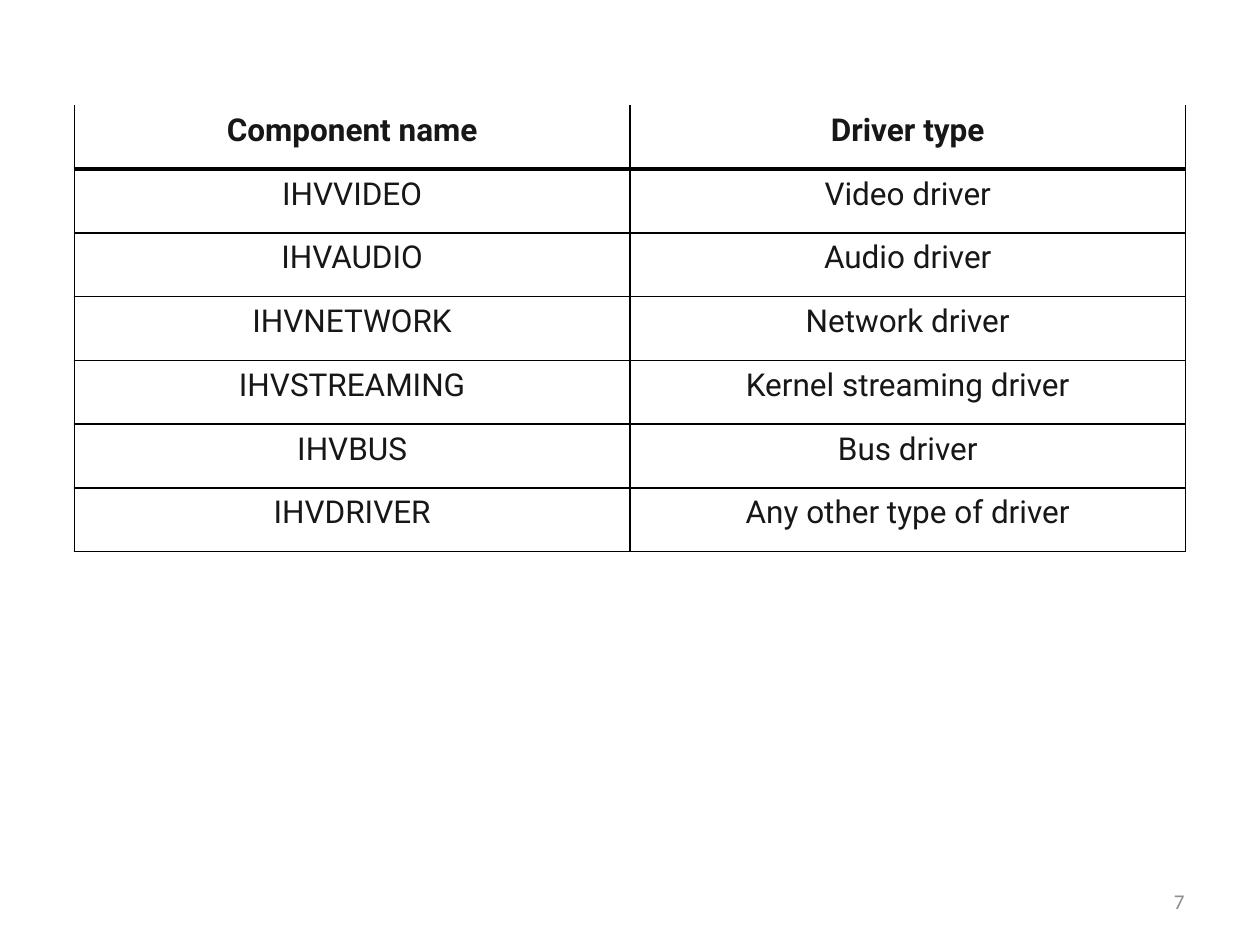
from lxml import etree
from pptx import Presentation
from pptx.dml.color import RGBColor
from pptx.enum import text
from pptx.oxml import ns
from pptx.util import Pt

HEADER = ("Component name", "Driver type")
DRIVERS = [
    ("IHVVIDEO", "Video driver"),
    ("IHVAUDIO", "Audio driver"),
    ("IHVNETWORK", "Network driver"),
    ("IHVSTREAMING", "Kernel streaming driver"),
    ("IHVBUS", "Bus driver"),
    ("IHVDRIVER", "Any other type of driver"),
]
PAGE_NUMBER = "7"

COLORS = {"paper": "FFFFFF", "ink": "171717", "rule": "000000", "muted": "8C8C8C"}
TABLE_LEFT, TABLE_TOP = 42.5, 60.2
COLUMN_WIDTH, ROW_HEIGHT = 317.5, 36.43
CELL_MARGIN = 0.75
THIN, THICK = 1, 3


def color(name):
    return RGBColor.from_string(COLORS[name])


def add_run(paragraph, words, font_name, size, color_name, bold=False):
    run = paragraph.add_run()
    run.text = words
    run.font.name = font_name
    run.font.size = Pt(size)
    run.font.bold = bold
    run.font.color.rgb = color(color_name)


def set_borders(cell, top, bottom):
    """Draw thin sides; top and bottom are widths in points, 0 for no line."""
    properties = cell._tc.get_or_add_tcPr()
    for tag, width in (("lnL", THIN), ("lnR", THIN), ("lnT", top), ("lnB", bottom)):
        line = etree.SubElement(properties, ns.qn(f"a:{tag}"), w=str(int(Pt(width))))
        if width:
            fill = etree.SubElement(line, ns.qn("a:solidFill"))
            etree.SubElement(fill, ns.qn("a:srgbClr"), val=COLORS["rule"])
        else:
            etree.SubElement(line, ns.qn("a:noFill"))


def fill_cell(cell, words, is_header, top, bottom):
    set_borders(cell, top, bottom)
    cell.fill.solid()
    cell.fill.fore_color.rgb = color("paper")
    cell.margin_left = cell.margin_right = Pt(CELL_MARGIN)
    cell.margin_top = cell.margin_bottom = Pt(CELL_MARGIN)
    paragraph = cell.text_frame.paragraphs[0]
    paragraph.alignment = text.PP_ALIGN.CENTER
    paragraph.line_spacing = 1.15
    add_run(paragraph, words, "Roboto", 18, "ink", bold=is_header)


def add_driver_table(slide):
    rows = [HEADER] + DRIVERS
    table = slide.shapes.add_table(
        len(rows), len(HEADER), Pt(TABLE_LEFT), Pt(TABLE_TOP),
        Pt(COLUMN_WIDTH * len(HEADER)), Pt(ROW_HEIGHT * len(rows))).table
    table.horz_banding = False
    for column in table.columns:
        column.width = Pt(COLUMN_WIDTH)
    # One width per horizontal rule, from the table's top edge to its bottom edge.
    rules = [0, THICK] + [THIN] * len(DRIVERS)
    for i, row in enumerate(rows):
        table.rows[i].height = Pt(ROW_HEIGHT)
        for j, words in enumerate(row):
            fill_cell(table.cell(i, j), words, i == 0, rules[i], rules[i + 1])


def add_page_number(slide):
    frame = slide.shapes.add_textbox(Pt(516), Pt(500.5), Pt(168), Pt(28.75)).text_frame
    frame.word_wrap = True
    frame.vertical_anchor = text.MSO_ANCHOR.MIDDLE
    paragraph = frame.paragraphs[0]
    paragraph.alignment = text.PP_ALIGN.RIGHT
    add_run(paragraph, PAGE_NUMBER, "Calibri", 12, "muted")


def main():
    presentation = Presentation()
    presentation.slide_width, presentation.slide_height = Pt(720), Pt(540)
    slide = presentation.slides.add_slide(presentation.slide_layouts[6])
    add_driver_table(slide)
    add_page_number(slide)
    presentation.save("out.pptx")


if __name__ == "__main__":
    main()
